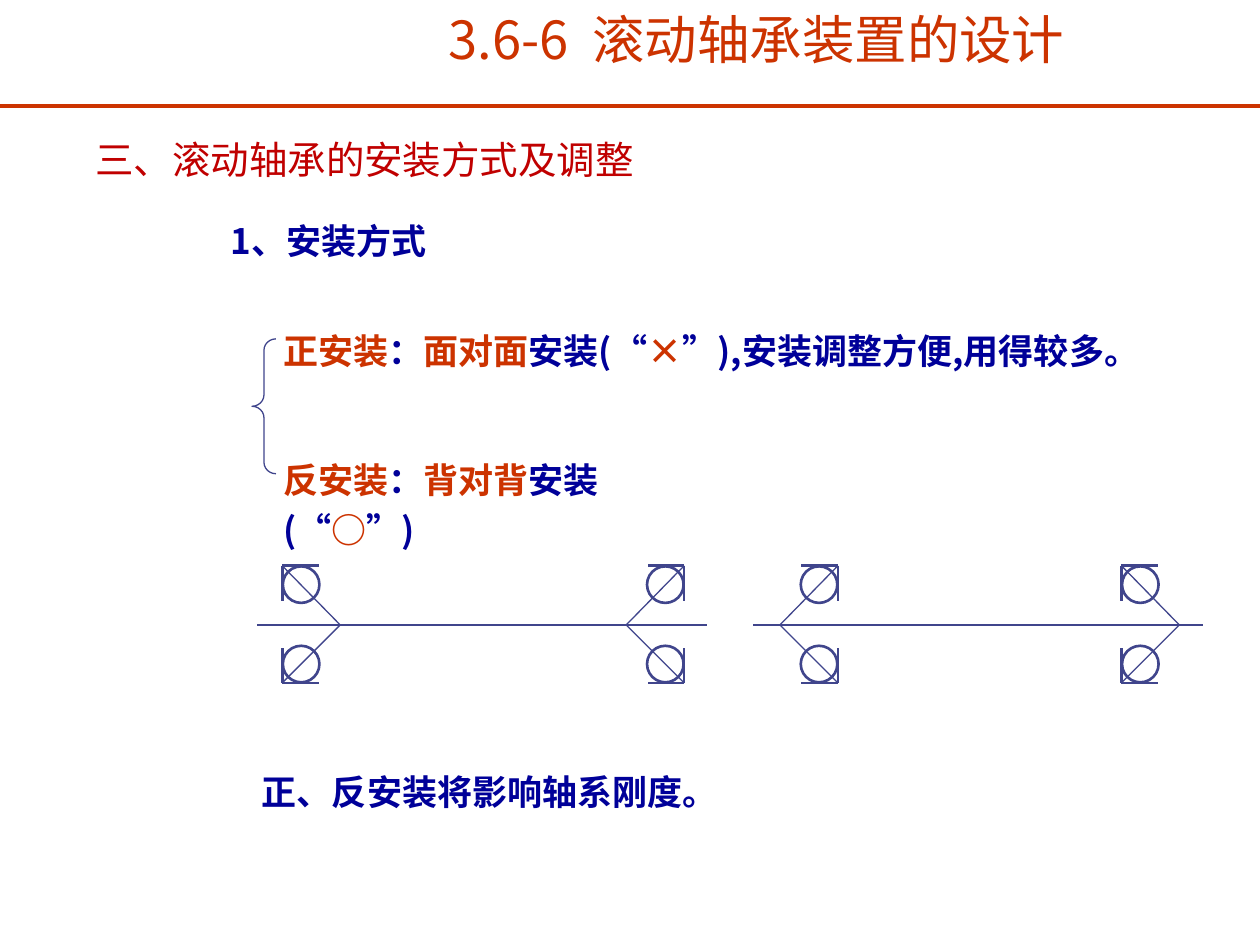
"""Builds the slide on face-to-face and back-to-back mounting of rolling bearings."""
import pptx
import pptx.dml.color
import pptx.enum.shapes
import pptx.enum.text
import pptx.oxml.ns
import pptx.util
from lxml import etree
from pptx.util import Inches

RED = pptx.dml.color.RGBColor(0xCC, 0x33, 0x00)
DARK_RED = pptx.dml.color.RGBColor(0xC0, 0x00, 0x00)
NAVY = pptx.dml.color.RGBColor(0x00, 0x00, 0x99)
SLATE = pptx.dml.color.RGBColor(0x40, 0x45, 0x8C)
SANS = "Noto Sans CJK SC"
SERIF = "Times New Roman"
SHAPES = pptx.enum.shapes.MSO_SHAPE

deck = pptx.Presentation()
deck.slide_width, deck.slide_height = Inches(10), Inches(7.5)
page = deck.slides.add_slide(deck.slide_layouts[6])


def add_line(start, end, weight, color=SLATE):
    line = page.shapes.add_connector(
        pptx.enum.shapes.MSO_CONNECTOR.STRAIGHT, *map(Inches, start + end))
    line.line.color.rgb = color
    line.line.width = pptx.util.Pt(weight)
    etree.SubElement(line._element.spPr, pptx.oxml.ns.qn("a:effectLst"))


def add_outline(kind, place, weight):
    shape = page.shapes.add_shape(kind, *map(Inches, place))
    shape.shadow.inherit = False
    shape.fill.background()
    shape.line.color.rgb = SLATE
    shape.line.width = pptx.util.Pt(weight)
    return shape


texts = [
    ((0.66, 0.96, 6.65, 0.55), 22, False, 1.2,
     [("三、滚动轴承的安装方式及调整", DARK_RED, SANS)]),
    ((1.73, 1.63, 1.78, 0.47), 20, True, 1.2, [("1、安装方式", NAVY, SANS)]),
    ((1.98, 6, 3.85, 0.5), 20, True, 1.2,
     [("正、反安装将影响轴系刚度。", NAVY, SANS)]),
    ((3.46, 0.01, 5.41, 0.6), 30, False, 1,
     [("3.6-6  滚动轴承装置的设计", RED, SANS)]),
]
mountings = [
    ((2.15, 2.5, 6.72, 0.47), "正安装", "面对面", "×", "),安装调整方便,用得较多。"),
    ((2.15, 3.52, 3.45, 0.51), "反安装", "背对背", "○", ")"),
]
for place, name, facing, symbol, ending in mountings:
    texts.append((place, 20, True, 1.2, [
        (name, RED, SANS), ("：", NAVY, SANS), (facing, RED, SANS),
        ("安装(", NAVY, SANS), ("“", NAVY, SERIF), (symbol, RED, SANS),
        ("”", NAVY, SERIF), (ending, NAVY, SANS)]))

for place, size, bold, spacing, pieces in texts:
    box = page.shapes.add_textbox(*map(Inches, place))
    frame = box.text_frame
    frame.word_wrap = True
    frame.auto_size = pptx.enum.text.MSO_AUTO_SIZE.SHAPE_TO_FIT_TEXT
    if size == 30:
        frame.vertical_anchor = pptx.enum.text.MSO_ANCHOR.MIDDLE
    para = frame.paragraphs[0]
    para.line_spacing = spacing
    para.font.size = pptx.util.Pt(size)
    para.font.bold = bold
    for wording, color, typeface in pieces:
        span = para.add_run()
        span.text = wording
        span.font.color.rgb = color
        span.font.name = typeface
        etree.SubElement(span.font._element, pptx.oxml.ns.qn("a:ea"), typeface=SANS)

brace = add_outline(SHAPES.LEFT_BRACE, (2, 2.69, 0.19, 1.07), 0.75)
brace.adjustments[0] = 0.476

axis = 4.96
for shaft_left, bearings in [(2.04, [(2.24, 1), (5.43, -1)]),
                             (5.98, [(6.65, -1), (8.9, 1)])]:
    add_line((shaft_left, axis), (shaft_left + 3.57, axis), 1.5)
    for corner, side in bearings:
        for edge, inward in [(4.49, 1), (5.42, -1)]:
            add_line((corner, edge), (corner + side * 0.29, edge), 1.5)
            add_line((corner, edge), (corner, edge + inward * 0.28), 1.5)
            add_line((corner, edge), (corner + side * 0.46, axis), 0.75)
            middle_x, middle_y = corner + side * 0.15, edge + inward * 0.15
            add_outline(SHAPES.OVAL,
                        (middle_x - 0.145, middle_y - 0.145, 0.29, 0.29), 1.5)

add_line((0, 0.84), (10, 0.84), 2.25, RED)

deck.save("out.pptx")
